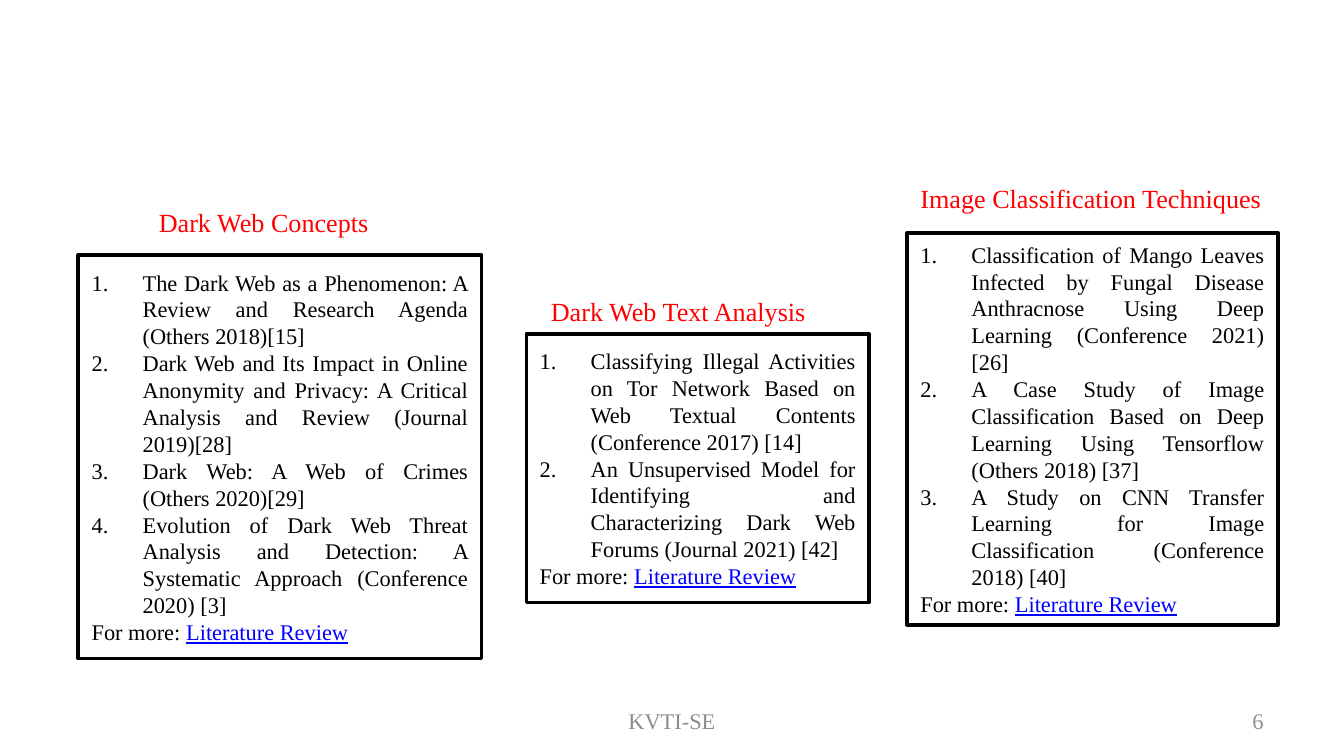
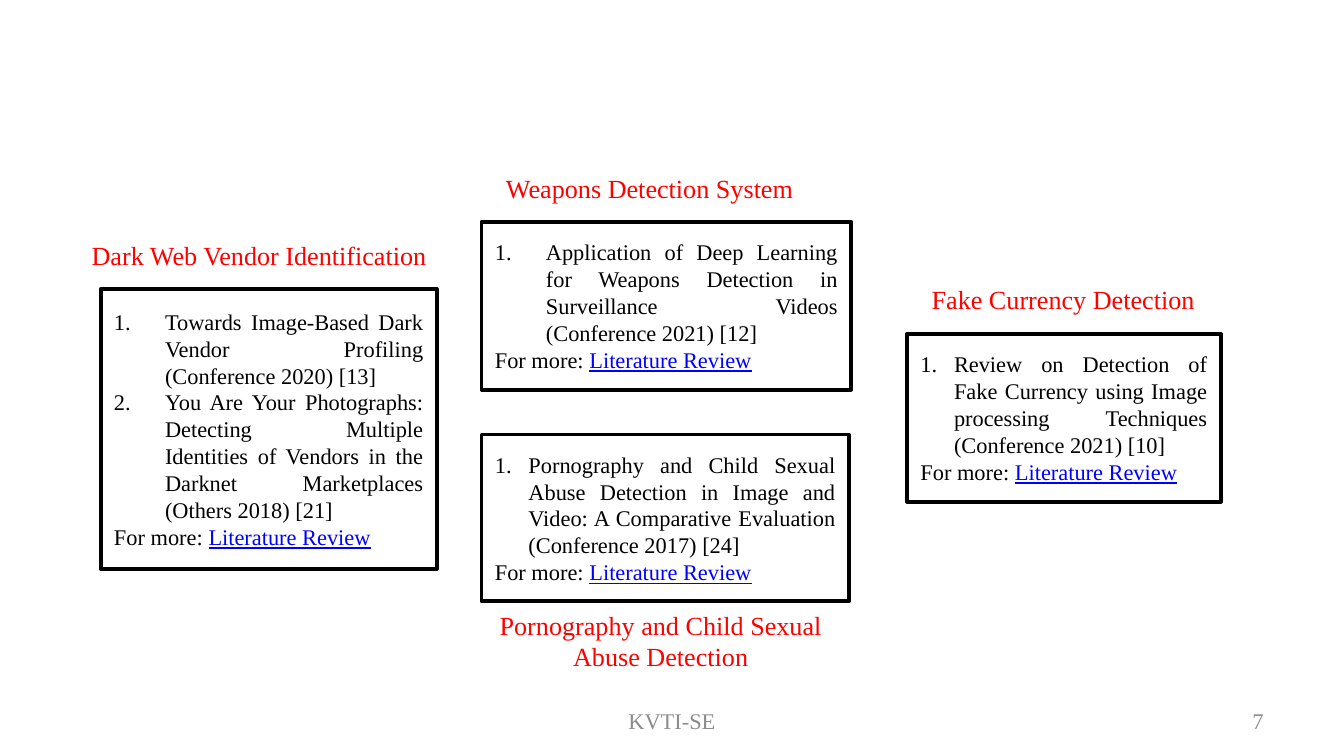
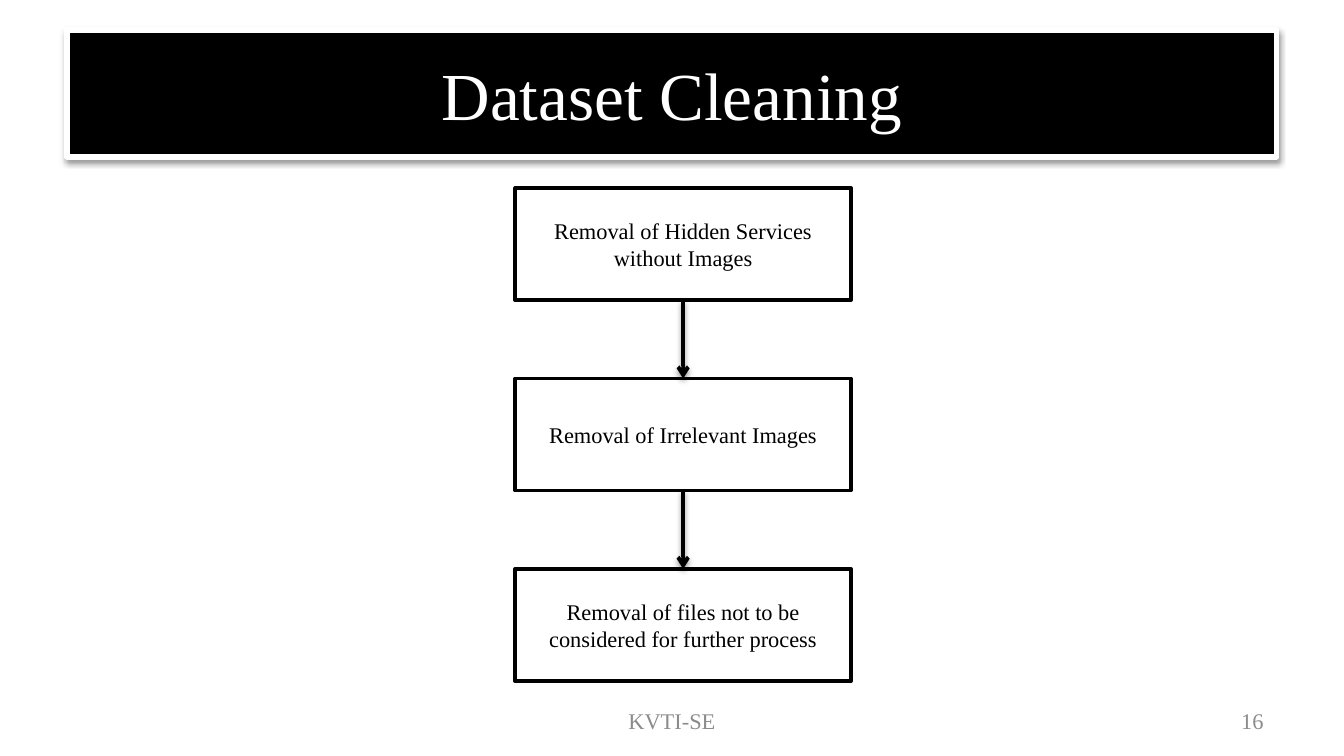
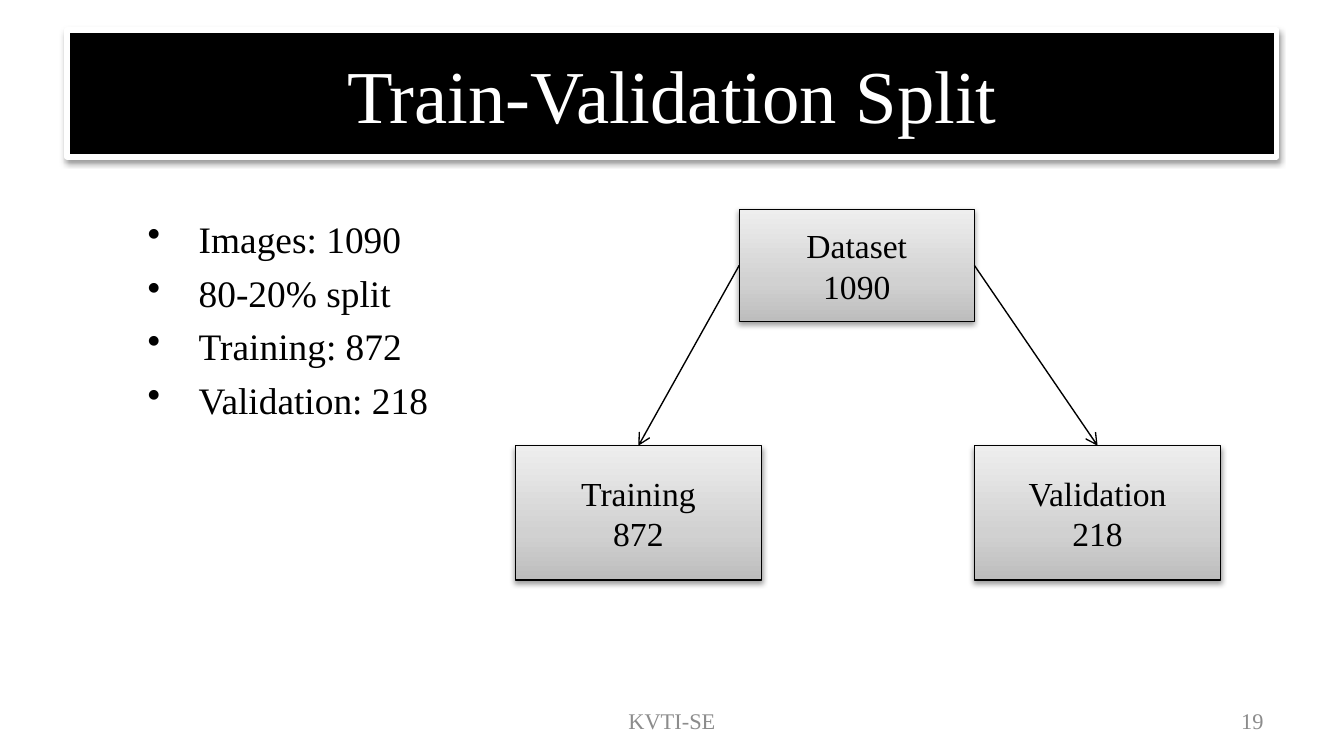
from lxml.etree import SubElement
from pptx import Presentation
from pptx.dml.color import RGBColor
from pptx.enum.shapes import MSO_CONNECTOR as LINE, MSO_SHAPE as SHAPE
from pptx.enum.text import MSO_ANCHOR as ANCHOR, PP_ALIGN as ALIGN
from pptx.oxml.ns import qn
from pptx.util import Inches, Pt

BLACK = RGBColor(0x00, 0x00, 0x00)
WHITE = RGBColor(0xFF, 0xFF, 0xFF)
RED = RGBColor(0xFF, 0x00, 0x00)
BLUE = RGBColor(0x00, 0x00, 0xFF)
GREY = RGBColor(0x8C, 0x8C, 0x8C)
# Gradient stops: share of the way from bottom to top, colour
SILVER = [(0, RGBColor(0xBD, 0xBD, 0xBD)),
          (35, RGBColor(0xD1, 0xD1, 0xD1)),
          (100, RGBColor(0xEE, 0xEE, 0xEE))]

FONT = "Times New Roman"
COLS, ROWS = 120, 67.5
TOP, LEFT, BOTTOM, RIGHT = range(4)


def add_xml(parent, tag, **attrs):
    return SubElement(parent, qn(tag), {k: str(v) for k, v in attrs.items()})


def set_effects(shape, shadow):
    """Put the effect list after fill and line: a soft shadow or nothing."""
    effects = add_xml(shape._element.spPr, "a:effectLst")
    if shadow:
        outer = add_xml(effects, "a:outerShdw", blurRad=Pt(3.1), dist=Pt(1.6),
                        dir=90 * 60000, rotWithShape=0)
        color = add_xml(outer, "a:srgbClr", val=BLACK)
        add_xml(color, "a:alpha", val=38000)


class Deck:
    def __init__(self):
        self.prs = Presentation()
        self.prs.slide_width, self.prs.slide_height = Inches(10), Inches(5.625)
        self.s = None

    def grid(self, x, y, w, h):
        cw, rh = self.prs.slide_width / COLS, self.prs.slide_height / ROWS
        return [round(v) for v in (x * cw, y * rh, w * cw, h * rh)]

    def slide(self, number, title=None, title_size=36):
        self.s = self.prs.slides.add_slide(self.prs.slide_layouts[6])
        if title:
            self.box((6, 2.7, 108, 11.3), [title], title_size, WHITE,
                     fill=BLACK, line=WHITE, width=3, shadow=True)
        for at, text, align in (((41, 62.5, 38, 3.6), "KVTI-SE", ALIGN.CENTER),
                                ((86, 62.5, 28, 3.6), str(number), ALIGN.RIGHT)):
            self.text(at, [text], 12, GREY, align, ANCHOR.MIDDLE)

    def run(self, p, text, size, color, underline=None):
        r = p.add_run()
        r.text = text
        r.font.name, r.font.size = FONT, Pt(size)
        r.font.color.rgb = color
        r.font.underline = underline

    def hang(self, p, indent, tag=None, **attrs):
        """Hanging indent, with a bullet or number when a tag is given."""
        pPr = p._p.get_or_add_pPr()
        pPr.set("marL", str(Inches(indent)))
        pPr.set("indent", str(-Inches(indent)))
        if tag:
            add_xml(pPr, tag, **attrs)

    def add_lines(self, tf, lines, size, color, align):
        for i, line in enumerate(lines):
            p = tf.add_paragraph() if i else tf.paragraphs[0]
            p.alignment = align
            self.run(p, line, size, color)

    def text(self, at, lines, size, color, align=ALIGN.LEFT, anchor=ANCHOR.TOP, wrap=True):
        tf = self.s.shapes.add_textbox(*self.grid(*at)).text_frame
        tf.word_wrap, tf.vertical_anchor = wrap, anchor
        self.add_lines(tf, lines, size, color, align)
        return tf

    def heading(self, x, y, w, text, h=4.1, **style):
        self.text((x, y, w, h), [text], 14, RED, **style)

    def bullets(self, at, lines, size):
        tf = self.text(at, lines, size, BLACK, ALIGN.JUSTIFY)
        for p in tf.paragraphs:
            p.space_before = Pt(4.8)
            self.hang(p, 0.38, "a:buChar", char="•")

    def box(self, at, lines=(), size=12, color=BLACK, fill=WHITE, line=BLACK,
            width=2, shadow=False):
        sp = self.s.shapes.add_shape(SHAPE.RECTANGLE, *self.grid(*at))
        if isinstance(fill, list):
            sp.fill.gradient()
            sp.fill.gradient_angle = 90
            stops = sp._element.spPr.find(qn("a:gradFill")).find(qn("a:gsLst"))
            stops.clear()
            for pos, rgb in fill:
                add_xml(add_xml(stops, "a:gs", pos=pos * 1000), "a:srgbClr", val=rgb)
        else:
            sp.fill.solid()
            sp.fill.fore_color.rgb = fill
        sp.line.color.rgb, sp.line.width = line, Pt(width)
        set_effects(sp, shadow)
        tf = sp.text_frame
        tf.word_wrap, tf.vertical_anchor = True, ANCHOR.MIDDLE
        self.add_lines(tf, lines, size, color, ALIGN.CENTER)
        return sp

    def papers(self, at, titles, indent=0.38):
        """Framed numbered list of papers, closed by the review line."""
        tf = self.box(at).text_frame
        self.add_lines(tf, titles + ["For more: "], 12, BLACK, ALIGN.JUSTIFY)
        *numbered, more = tf.paragraphs
        for p in numbered:
            self.hang(p, indent, "a:buAutoNum", type="arabicPeriod")
        self.hang(more, indent)
        self.run(more, "Literature Review", 12, BLUE, underline=True)

    def arrow(self, start, start_side, end, end_side, width, shadow=False):
        c = self.s.shapes.add_connector(LINE.STRAIGHT, 0, 0, 0, 0)
        c.begin_connect(start, start_side)
        c.end_connect(end, end_side)
        c.line.color.rgb, c.line.width = BLACK, Pt(width)
        add_xml(c._element.spPr.find(qn("a:ln")), "a:tailEnd", type="arrow")
        set_effects(c, shadow)


def concepts(d):
    d.slide(6)
    d.heading(13, 17.8, 21.4, "Dark Web Concepts", wrap=False)
    d.papers((7, 22.8, 36, 36), [
        "The Dark Web as a Phenomenon: A Review and Research Agenda (Others 2018)[15]",
        "Dark Web and Its Impact in Online Anonymity and Privacy: "
        "A Critical Analysis and Review (Journal 2019)[28]",
        "Dark Web: A Web of Crimes (Others 2020)[29]",
        "Evolution of Dark Web Threat Analysis and Detection: "
        "A Systematic Approach (Conference 2020) [3]"])
    d.heading(48, 25.8, 27, "Dark Web Text Analysis")
    d.papers((47, 29.8, 30.6, 24), [
        "Classifying Illegal Activities on Tor Network Based on "
        "Web Textual Contents (Conference 2017) [14]",
        "An Unsupervised Model for Identifying and Characterizing "
        "Dark Web Forums (Journal 2021) [42]"])
    d.heading(81, 15.7, 33.4, "Image Classification Techniques")
    d.papers((81, 20.8, 33.1, 35), [
        "Classification of Mango Leaves Infected by Fungal Disease "
        "Anthracnose Using Deep Learning (Conference 2021) [26]",
        "A Case Study of Image Classification Based on Deep Learning "
        "Using Tensorflow (Others 2018) [37]",
        "A Study on CNN Transfer Learning for Image Classification (Conference 2018) [40]"])


def detection(d):
    d.slide(7)
    d.heading(7, 20.8, 32.6, "Dark Web Vendor Identification", wrap=False)
    d.papers((9, 25.8, 30, 25), [
        "Towards Image-Based Dark Vendor Profiling (Conference 2020) [13]",
        "You Are Your Photographs: Detecting Multiple Identities of Vendors "
        "in the Darknet Marketplaces (Others 2018) [21]"])
    d.heading(44, 14.8, 33.4, "Weapons Detection System")
    d.papers((43, 19.8, 33, 15), [
        "Application of Deep Learning for Weapons Detection in "
        "Surveillance Videos (Conference 2021) [12]"])
    d.heading(82, 24.7, 29.4, "Fake Currency Detection")
    d.papers((81, 29.8, 28, 15), [
        "Review on Detection of Fake Currency using Image processing "
        "Techniques (Conference 2021) [10]"], indent=0.25)
    d.papers((43, 38.8, 32.8, 14.9), [
        "Pornography and Child Sexual Abuse Detection in Image and Video: "
        "A Comparative Evaluation (Conference 2017) [24]"], indent=0.25)
    d.heading(43, 53.8, 32, "Pornography and Child Sexual Abuse Detection",
              h=6.8, align=ALIGN.CENTER)


def cleaning(d):
    d.slide(16, "Dataset Cleaning")
    steps = ["Removal of Hidden Services without Images",
             "Removal of Irrelevant Images",
             "Removal of files not to be considered for further process"]
    boxes = [d.box((46, 16.8 + 17 * i, 30, 10), [step]) for i, step in enumerate(steps)]
    for upper, lower in zip(boxes, boxes[1:]):
        d.arrow(upper, BOTTOM, lower, TOP, 2, shadow=True)


def split(d):
    d.slide(19, "Train-Validation Split", 40)
    d.bullets((12, 18.7, 32, 41.5),
              ["Images: 1090", "80-20% split", "Training: 872", "Validation: 218"], 20)
    dataset, training, validation = [
        d.box(at, lines, 18, fill=SILVER, width=0.75, shadow=True)
        for at, lines in (((66, 18.7, 21, 10), ["Dataset", "1090"]),
                          ((46, 39.8, 22, 12), ["Training", "872"]),
                          ((87, 39.8, 22, 12), ["Validation", "218"]))]
    d.arrow(dataset, LEFT, training, TOP, 0.75)
    d.arrow(dataset, RIGHT, validation, TOP, 0.75)


def main():
    d = Deck()
    for build in (concepts, detection, cleaning, split):
        build(d)
    d.prs.save("out.pptx")


if __name__ == "__main__":
    main()
